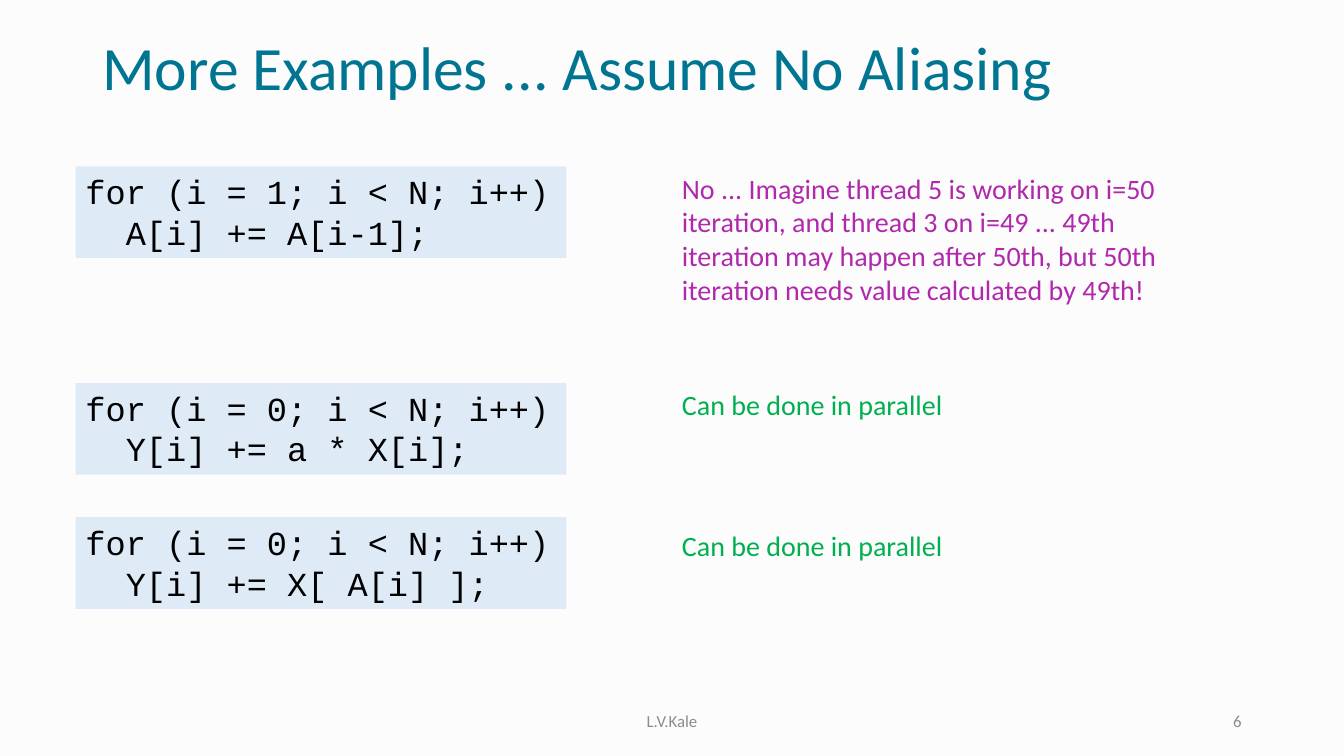
from pptx import Presentation
from pptx.dml.color import RGBColor
from pptx.enum.shapes import MSO_SHAPE
from pptx.enum.text import MSO_ANCHOR, PP_ALIGN
from pptx.util import Pt

RECTANGLE = MSO_SHAPE.RECTANGLE
TOP, MIDDLE = MSO_ANCHOR.TOP, MSO_ANCHOR.MIDDLE
LEFT, CENTER, RIGHT = PP_ALIGN.LEFT, PP_ALIGN.CENTER, PP_ALIGN.RIGHT

BACKGROUND = RGBColor(0xFC, 0xFC, 0xFC)
TEAL = RGBColor(0x00, 0x75, 0x92)
GRAY = RGBColor(0x8C, 0x8C, 0x8C)
PALE_BLUE = RGBColor(0xDE, 0xEB, 0xF7)
BLACK = RGBColor(0x00, 0x00, 0x00)
PURPLE = RGBColor(0xB0, 0x29, 0xAC)
GREEN = RGBColor(0x00, 0xB0, 0x50)

TITLE_FONT = {"name": "Calibri", "size": Pt(44)}
FOOTER_FONT = {"name": "Calibri", "size": Pt(12)}
ANSWER_FONT = {"name": "Calibri", "size": Pt(20)}
CODE_FONT = {"name": "Courier New", "size": Pt(24)}

EXAMPLES = [
    (118.8, ["for (i = 1; i < N; i++)", "  A[i] += A[i-1];"], 0, (396.7, 104.4),
     "No ... Imagine thread 5 is working on i=50 iteration, and thread 3 on i=49 ... "
     "49th iteration may happen after 50th, but 50th iteration needs value "
     "calculated by 49th!", PURPLE),
    (273.6, ["for (i = 0; i < N; i++)", "  Y[i] += a * X[i];"], 0, (222.5, 31.7),
     "Can be done in parallel", GREEN),
    (369.4, ["for (i = 0; i < N; i++)", "  Y[i] += X[ A[i] ];"], 4.3, (222.5, 31.7),
     "Can be done in parallel", GREEN),
]


def write_lines(shape, lines, font_values, color, anchor=TOP, alignment=LEFT, spacing=1.0):
    """Fill a shape with one formatted paragraph per line."""
    frame = shape.text_frame
    frame.word_wrap = True
    frame.vertical_anchor = anchor
    for index, line in enumerate(lines):
        paragraph = frame.add_paragraph() if index else frame.paragraphs[0]
        paragraph.alignment = alignment
        paragraph.line_spacing = spacing
        run = paragraph.add_run()
        run.text = line
        for name, value in font_values.items():
            setattr(run.font, name, value)
        run.font.color.rgb = color


def add_text(slide, box, text, font_values, color, **layout):
    """Add a text box holding a single paragraph."""
    shape = slide.shapes.add_textbox(*map(Pt, box))
    write_lines(shape, [text], font_values, color, **layout)


def add_code(slide, box, lines):
    """Add a shaded panel of code."""
    shape = slide.shapes.add_shape(RECTANGLE, *map(Pt, box))
    shape.shadow.inherit = False
    shape.fill.solid()
    shape.fill.fore_color.rgb = PALE_BLUE
    shape.line.fill.background()
    write_lines(shape, lines, CODE_FONT, BLACK)


def add_example(slide, left, top, code, answer_drop, answer_size, answer, color):
    """Place a code panel with its answer to the right."""
    add_code(slide, (left, top, 350.6, 65.5), code)
    add_text(slide, (left + 426, top + answer_drop, *answer_size), answer, ANSWER_FONT, color)


def add_footer(slide, left, top, height):
    """Place the author and page number on one row."""
    add_text(slide, (left, top, 324, height), "L.V.Kale", FOOTER_FONT, GRAY,
             anchor=MIDDLE, alignment=CENTER)
    add_text(slide, (left + 360, top, 216, height), "6", FOOTER_FONT, GRAY,
             anchor=MIDDLE, alignment=RIGHT)


def main():
    """Build and save the slide."""
    presentation = Presentation()
    presentation.slide_width, presentation.slide_height = Pt(960), Pt(540)
    slide = presentation.slides.add_slide(presentation.slide_layouts[6])
    slide.background.fill.solid()
    slide.background.fill.fore_color.rgb = BACKGROUND
    add_text(slide, (66, 20.2, 828, 60.5), "More Examples ... Assume No Aliasing",
             TITLE_FONT, TEAL, anchor=MIDDLE, spacing=0.9)
    for example in EXAMPLES:
        add_example(slide, 54, *example)
    add_footer(slide, 318, 500.5, 28.8)
    presentation.save("out.pptx")


if __name__ == "__main__":
    main()
